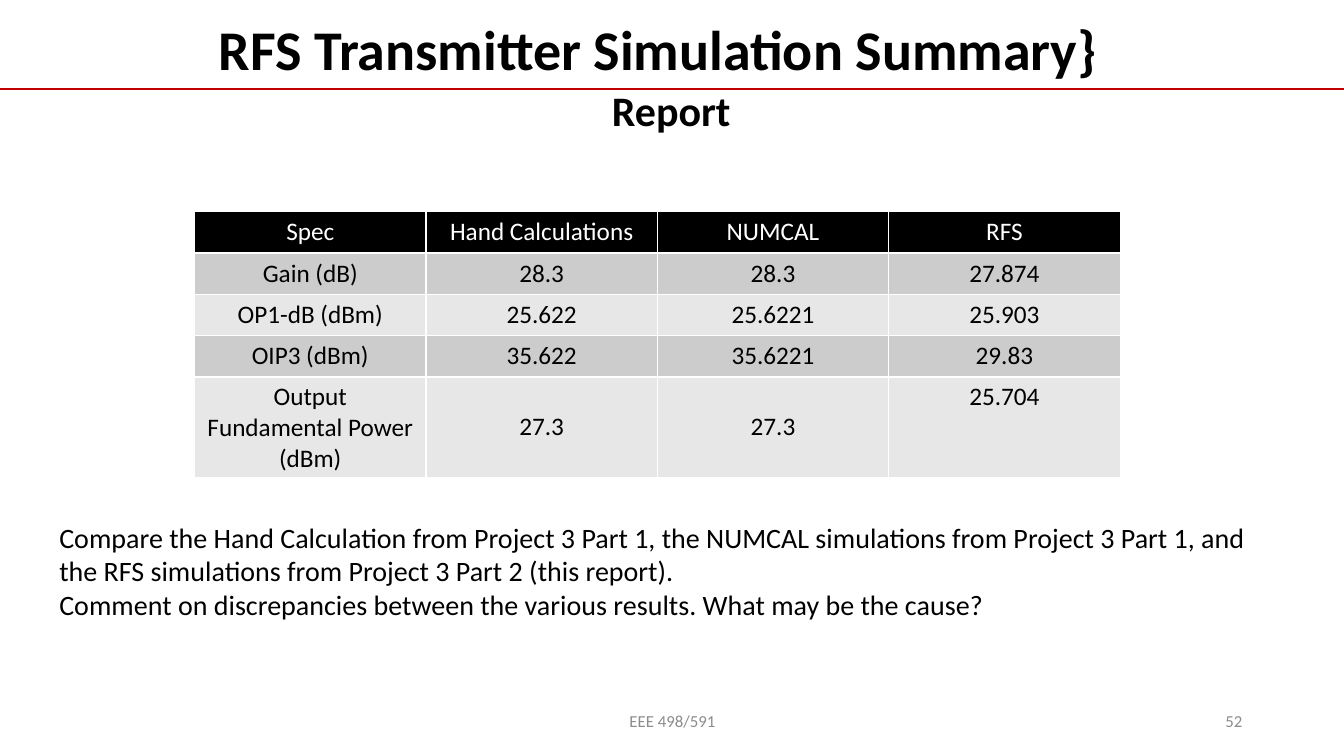
import lxml.etree
import pptx
import pptx.dml.color
import pptx.enum.shapes
import pptx.enum.text
import pptx.oxml
import pptx.oxml.ns
import pptx.util
from dataclasses import dataclass

PX = 9144  # EMU per px, 100 px to the inch
ALIGN = pptx.enum.text.PP_ALIGN
ANCHOR = pptx.enum.text.MSO_ANCHOR


@dataclass(frozen=True)
class Theme:
    font: str = "Calibri"
    ink: str = "000000"
    paper: str = "FFFFFF"
    rule: str = "C00000"
    footer: str = "8C8C8C"
    bands: tuple = ("CCCCCC", "E7E7E7")
    title_size: int = 40
    subtitle_size: int = 30
    body_size: int = 20
    table_size: int = 18
    footer_size: int = 12


THEME = Theme()

SPECS = [
    ["Spec", "Hand Calculations", "NUMCAL", "RFS"],
    ["Gain (dB)", "28.3", "28.3", "27.874"],
    ["OP1-dB (dBm)", "25.622", "25.6221", "25.903"],
    ["OIP3 (dBm)", "35.622", "35.6221", "29.83"],
    ["Output Fundamental Power (dBm)", "27.3", "27.3", "25.704"],
]
COMMENTS = [
    "Compare the Hand Calculation from Project 3 Part 1, the NUMCAL simulations "
    "from Project 3 Part 1, and\vthe RFS simulations from Project 3 Part 2 (this report).",
    "Comment on discrepancies between the various results. What may be the cause?",
]


def rgb(value):
    return pptx.dml.color.RGBColor.from_string(value)


def write(frame, *paragraphs, size, color=THEME.ink, bold=False, align=ALIGN.LEFT):
    for index, text in enumerate(paragraphs):
        para = frame.paragraphs[0] if index == 0 else frame.add_paragraph()
        para.text = text
        para.alignment = align
        for span in para.runs:
            span.font.name = THEME.font
            span.font.size = pptx.util.Pt(size)
            span.font.bold = bold
            span.font.color.rgb = rgb(color)


def add_text(page, box, *paragraphs, anchor=ANCHOR.TOP, wrap=False, **text_format):
    frame = page.shapes.add_textbox(*(length * PX for length in box)).text_frame
    frame.word_wrap = wrap
    frame.vertical_anchor = anchor
    write(frame, *paragraphs, **text_format)


def add_heading(page, box):
    left, top, width, height = box
    rule_y = (top + height) * PX
    rule = page.shapes.add_connector(
        pptx.enum.shapes.MSO_CONNECTOR.STRAIGHT,
        left * PX, rule_y, (left + width) * PX, rule_y)
    rule.line.color.rgb = rgb(THEME.rule)
    rule.line.width = pptx.util.Pt(1.5)
    lxml.etree.SubElement(rule._element.spPr, pptx.oxml.ns.qn("a:effectLst"))
    add_text(page, (left + 195, top + 9, 915, 77), "RFS Transmitter Simulation Summary}",
             size=THEME.title_size, bold=True, align=ALIGN.CENTER)
    add_text(page, (left + 597, top + 79, 139, 61), "Report",
             size=THEME.subtitle_size, bold=True)


def set_borders(cell):
    properties = cell._tc.get_or_add_tcPr()
    for side in "LRTB":
        properties.append(pptx.oxml.parse_xml(
            f'<a:ln{side} {pptx.oxml.ns.nsdecls("a")} w="{pptx.util.Pt(1)}">'
            f'<a:solidFill><a:srgbClr val="{THEME.paper}"/></a:solidFill></a:ln{side}>'))


def add_spec_table(page, box, row_height):
    """Give every row row_height; the last one takes what is left of the box."""
    left, top, width, height = (length * PX for length in box)
    last = len(SPECS) - 1
    table = page.shapes.add_table(len(SPECS), len(SPECS[0]), left, top, width, height).table
    for row_index, values in enumerate(SPECS):
        header = row_index == 0
        band = THEME.ink if header else THEME.bands[(row_index - 1) % 2]
        table.rows[row_index].height = (
            height - last * row_height * PX if row_index == last else row_height * PX)
        for column, value in enumerate(values):
            cell = table.cell(row_index, column)
            set_borders(cell)
            cell.fill.solid()
            cell.fill.fore_color.rgb = rgb(band)
            if row_index == last and column in (1, 2):
                cell.vertical_anchor = ANCHOR.MIDDLE
            write(cell.text_frame, value, size=THEME.table_size, align=ALIGN.CENTER,
                  color=THEME.paper if header else THEME.ink)


def add_footer(page, box):
    left, top, width, height = box
    style = dict(size=THEME.footer_size, color=THEME.footer, anchor=ANCHOR.MIDDLE, wrap=True)
    add_text(page, (left, top, 450, height), "EEE 498/591", align=ALIGN.CENTER, **style)
    add_text(page, (left + width - 300, top, 300, height), "52", align=ALIGN.RIGHT, **style)


def main():
    deck = pptx.Presentation()
    deck.slide_width = 1333 * PX
    deck.slide_height = 750 * PX
    page = deck.slides.add_slide(deck.slide_layouts[6])
    add_heading(page, (0, 0, 1333, 88))
    add_spec_table(page, (193, 210, 918, 263), row_height=41)
    add_text(page, (49, 511, 1206, 145), *COMMENTS, size=THEME.body_size)
    add_footer(page, (442, 695, 800, 40))
    deck.save("out.pptx")


if __name__ == "__main__":
    main()
